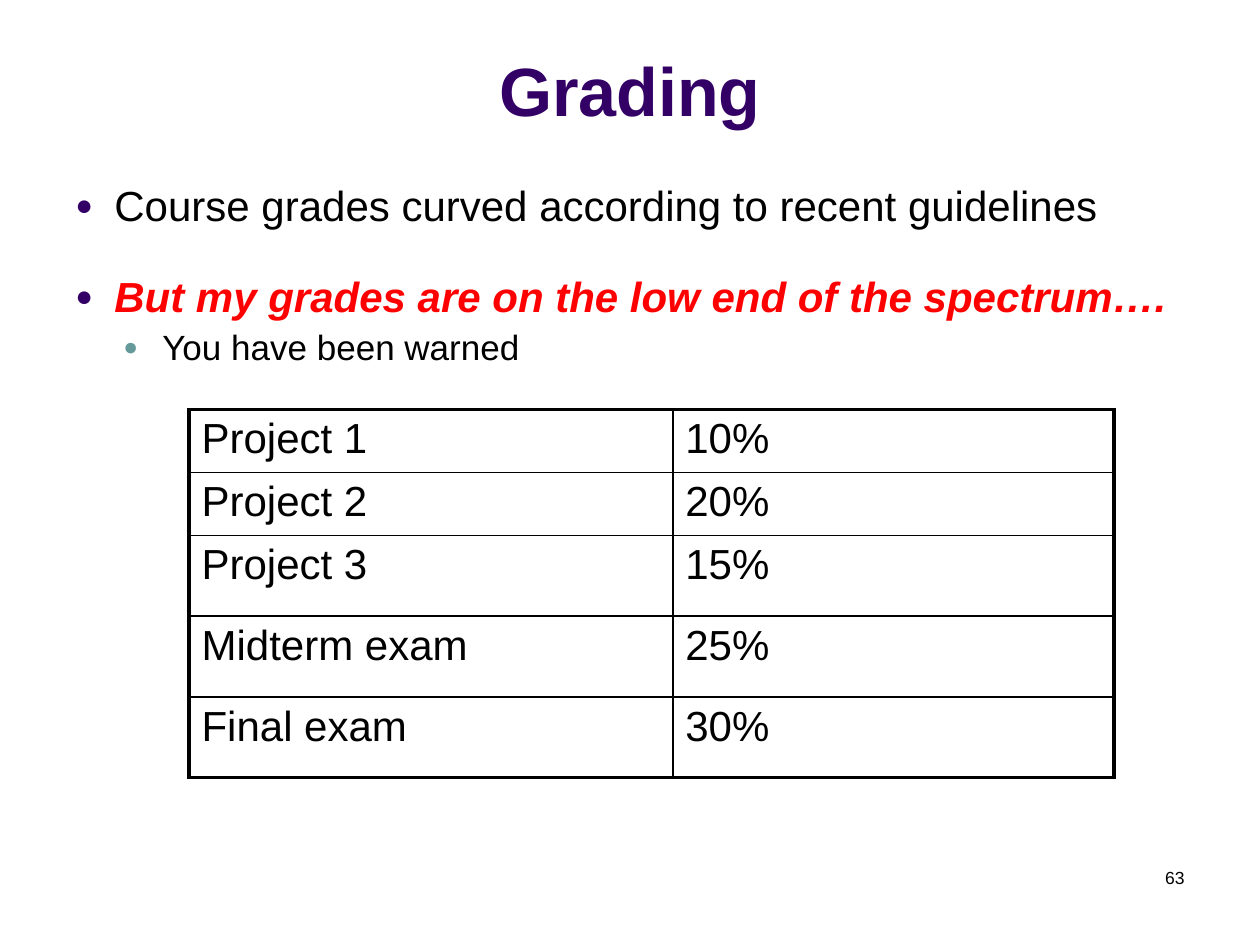
from dataclasses import dataclass

from lxml.etree import SubElement
from pptx import Presentation
from pptx.dml.color import RGBColor
from pptx.enum.text import MSO_ANCHOR as Anchor, PP_ALIGN as Align
from pptx.oxml.ns import qn
from pptx.util import Inches, Pt


@dataclass(frozen=True)
class Theme:
    font: str = "Arial"
    ink: str = "000000"
    heading: str = "330066"
    accent: str = "669999"
    warning: str = "FF0000"
    title_size: int = 39
    body_size: int = 24
    detail_size: int = 20
    number_size: int = 10
    outer_line: float = 2.25
    inner_line: float = 1


THEME = Theme()


def write_text(paragraph, text, size=THEME.body_size, color=THEME.ink,
               bold=False, italic=False, align=Align.LEFT):
    paragraph.alignment = align
    run = paragraph.add_run()
    run.text = text
    font = run.font
    font.name, font.size = THEME.font, Pt(size)
    font.bold, font.italic = bold, italic
    font.color.rgb = RGBColor.from_string(color)


def add_bullet(paragraph, color, margin, hanging=0.31):
    props = paragraph._p.get_or_add_pPr()
    props.set("marL", str(Inches(margin)))
    props.set("indent", str(-Inches(hanging)))
    bullet_color = SubElement(props, qn("a:buClr"))
    SubElement(bullet_color, qn("a:srgbClr"), val=color)
    SubElement(props, qn("a:buSzPct"), val="70000")
    SubElement(props, qn("a:buFont"), typeface=THEME.font)
    SubElement(props, qn("a:buChar"), char="●")


def add_border(cell, side, width):
    line = SubElement(cell._tc.get_or_add_tcPr(), qn(f"a:ln{side}"), w=str(Pt(width)))
    fill = SubElement(line, qn("a:solidFill"))
    SubElement(fill, qn("a:srgbClr"), val=THEME.ink)


class SlideBuilder:
    def __init__(self, slide, theme):
        self.slide = slide
        self.theme = theme

    def text_frame(self, left, top, width, height, anchor=Anchor.TOP):
        box = self.slide.shapes.add_textbox(
            Inches(left), Inches(top), Inches(width), Inches(height))
        frame = box.text_frame
        frame.word_wrap = True
        frame.vertical_anchor = anchor
        return frame

    def label(self, text, place, anchor=Anchor.TOP, **style):
        frame = self.text_frame(*place, anchor=anchor)
        write_text(frame.paragraphs[0], text, **style)

    def bullets(self, items, place):
        """Each item is text, bullet colour, margin, space before and text format."""
        frame = self.text_frame(*place)
        for index, (text, color, margin, space, style) in enumerate(items):
            paragraph = frame.add_paragraph() if index else frame.paragraphs[0]
            paragraph.line_spacing = 0.9
            paragraph.space_before = Pt(space)
            add_bullet(paragraph, color, margin)
            write_text(paragraph, text, **style)

    def grid(self, rows, left, top, widths, heights):
        table = self.slide.shapes.add_table(
            len(rows), len(widths), Inches(left), Inches(top),
            Inches(sum(widths)), Inches(sum(heights))).table
        table.first_row = table.horz_banding = False
        for column, width in zip(table.columns, widths):
            column.width = Inches(width)
        for row, height in zip(table.rows, heights):
            row.height = Inches(height)

        last_row, last_column = len(rows) - 1, len(widths) - 1
        for r, values in enumerate(rows):
            for c, value in enumerate(values):
                cell = table.cell(r, c)
                write_text(cell.text_frame.paragraphs[0], value)
                outer_sides = {"L": c == 0, "R": c == last_column,
                               "T": r == 0, "B": r == last_row}
                for side, is_outer in outer_sides.items():
                    add_border(cell, side, self.theme.outer_line if is_outer
                               else self.theme.inner_line)
                cell.fill.background()


def main():
    deck = Presentation()
    deck.slide_width, deck.slide_height = Inches(10), Inches(7.5)
    builder = SlideBuilder(deck.slides.add_slide(deck.slide_layouts[6]), THEME)

    builder.label("Grading", (0, 0.13, 10, 0.95), anchor=Anchor.BOTTOM,
                  size=THEME.title_size, color=THEME.heading, bold=True,
                  align=Align.CENTER)

    policies = [
        ("Course grades curved according to recent guidelines",
         THEME.heading, 0.31, 0, {}),
        ("But my grades are on the low end of the spectrum….",
         THEME.heading, 0.31, 26, dict(color=THEME.warning, bold=True, italic=True)),
        ("You have been warned",
         THEME.accent, 0.69, 5, dict(size=THEME.detail_size)),
    ]
    builder.bullets(policies, (0.5, 1.42, 9, 5.29))

    weights = [
        ("Project 1", "10%"),
        ("Project 2", "20%"),
        ("Project 3", "15%"),
        ("Midterm exam", "25%"),
        ("Final exam", "30%"),
    ]
    builder.grid(weights, 1.5, 3.25, widths=[3.84, 3.5],
                 heights=[0.5] * 2 + [0.64] * 3)

    builder.label("63", (7.17, 6.83, 2.33, 0.5),
                  size=THEME.number_size, align=Align.RIGHT)
    deck.save("out.pptx")


if __name__ == "__main__":
    main()
